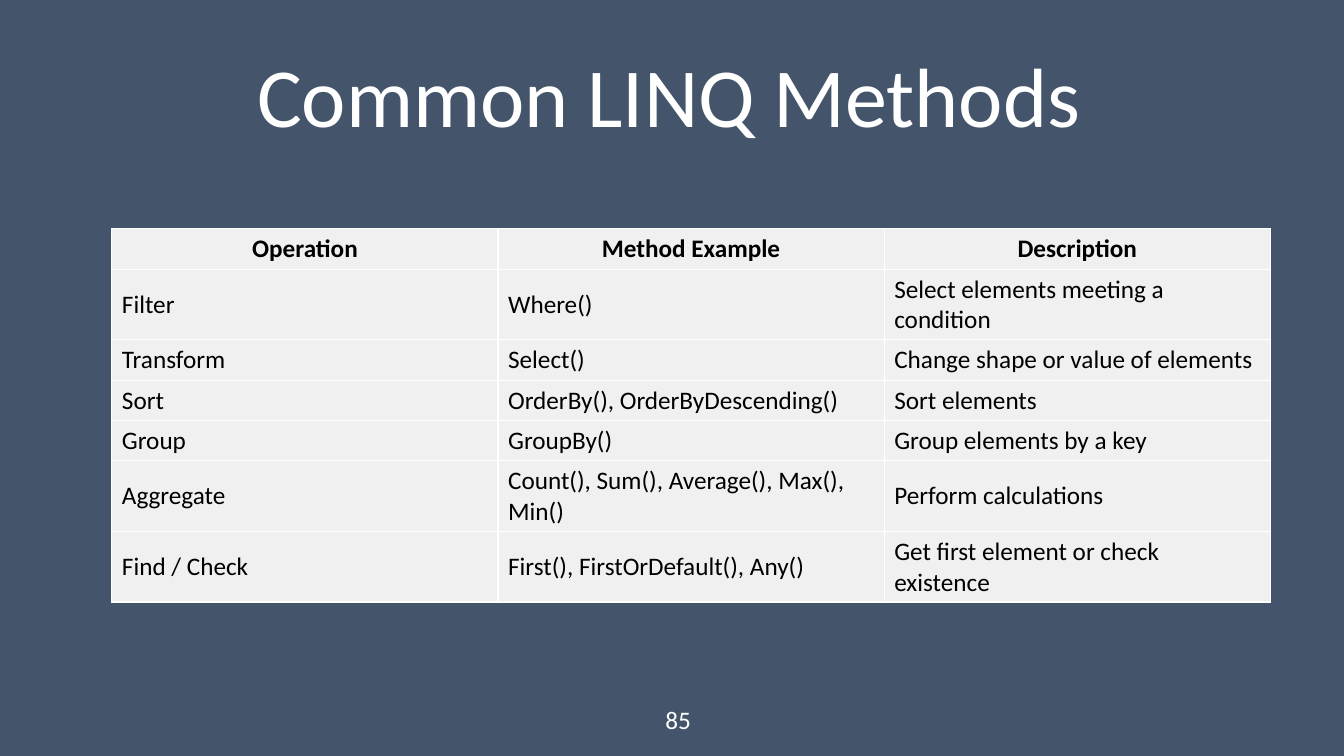
"""Build a slide with a table of common LINQ methods."""
from dataclasses import dataclass

from lxml.etree import SubElement as Sub
from pptx import Presentation
from pptx.dml.color import RGBColor as Rgb
from pptx.enum.text import MSO_ANCHOR as Anchor, PP_ALIGN as Align
from pptx.oxml.ns import qn
from pptx.util import Inches, Pt

HUES = {"back": "44546A", "light": "FFFFFF", "cell": "F0F0F0", "dark": "000000"}
FONT = {"name": "Calibri", "size": Pt(18), "bold": False}
COLS = 3
WIDE = 3.83


@dataclass
class Label:
    text: str
    left: float
    top: float
    width: float
    height: float
    size: int
    align: Align
    anchor: Anchor
    space: float


@dataclass
class Row:
    texts: tuple[str, ...]
    height: float = 0.4
    head: bool = False


LABELS = [
    Label("Common LINQ Methods", 0.67, 0.7, 11.93, 0.79, 60,
          Align.CENTER, Anchor.BOTTOM, 0.9),
    Label("85", 6.5, 6.94, 0.5, 0.4, 18, Align.LEFT, Anchor.TOP, 1.0),
]
ROWS = [
    Row(("Operation", "Method Example", "Description"), head=True),
    Row(("Filter", "Where()", "Select elements meeting a condition"), 0.7),
    Row(("Transform", "Select()", "Change shape or value of elements")),
    Row(("Sort", "OrderBy(), OrderByDescending()", "Sort elements")),
    Row(("Group", "GroupBy()", "Group elements by a key")),
    Row(("Aggregate", "Count(), Sum(), Average(), Max(), Min()",
         "Perform calculations"), 0.7),
    Row(("Find / Check", "First(), FirstOrDefault(), Any()",
         "Get first element or check existence")),
]


def hue(name: str) -> Rgb:
    return Rgb.from_string(HUES[name])


def style(para, align: Align, color: str, **extra) -> None:
    para.alignment = align
    for key, value in {**FONT, **extra}.items():
        setattr(para.font, key, value)
    para.font.color.rgb = hue(color)


def draw_label(slide, label: Label) -> None:
    spot = (label.left, label.top, label.width, label.height)
    frame = slide.shapes.add_textbox(*map(Inches, spot)).text_frame
    frame.word_wrap = True
    frame.vertical_anchor = label.anchor
    para = frame.paragraphs[0]
    para.text = label.text
    para.line_spacing = label.space
    style(para, label.align, "light", size=Pt(label.size))


def draw_cell(cell, text: str, head: bool) -> None:
    cell.text = text
    cell.vertical_anchor = Anchor.MIDDLE
    align = Align.CENTER if head else Align.LEFT
    style(cell.text_frame.paragraphs[0], align, "dark", bold=head)
    props = cell._tc.get_or_add_tcPr()
    for side in ("lnL", "lnR", "lnT", "lnB"):
        line = Sub(props, qn(f"a:{side}"), w=str(Pt(1)))
        Sub(Sub(line, qn("a:solidFill")), qn("a:srgbClr"), val=HUES["light"])
    cell.fill.solid()
    cell.fill.fore_color.rgb = hue("cell")


def draw_table(slide, rows: list[Row]) -> None:
    spot = (1.11, 2.27, COLS * WIDE, sum(row.height for row in rows))
    table = slide.shapes.add_table(len(rows), COLS, *map(Inches, spot)).table
    table.horz_banding = False
    for col in table.columns:
        col.width = Inches(WIDE)
    for line, row in zip(table.rows, rows):
        line.height = Inches(row.height)
        for cell, text in zip(line.cells, row.texts):
            draw_cell(cell, text, row.head)


def main() -> None:
    deck = Presentation()
    deck.slide_width, deck.slide_height = Inches(13.33), Inches(7.5)
    slide = deck.slides.add_slide(deck.slide_layouts[6])
    slide.background.fill.solid()
    slide.background.fill.fore_color.rgb = hue("back")
    for label in LABELS:
        draw_label(slide, label)
    draw_table(slide, ROWS)
    deck.save("out.pptx")


if __name__ == "__main__":
    main()
